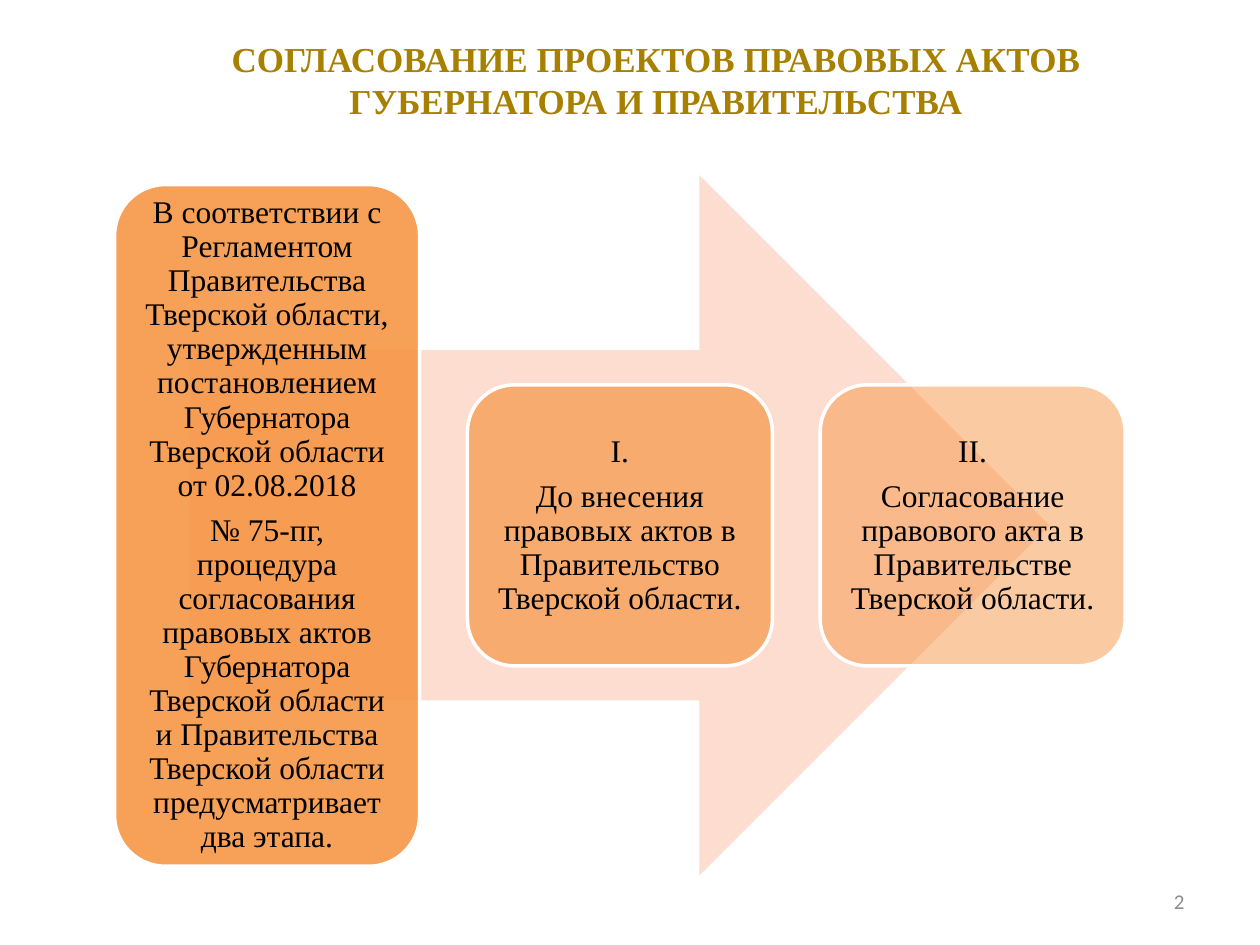
from pptx import Presentation
from pptx.dml.color import RGBColor
from pptx.enum.shapes import MSO_SHAPE as Preset
from pptx.enum.text import MSO_ANCHOR as Anchor, PP_ALIGN as Align
from pptx.oxml.ns import qn
from pptx.util import Inches, Pt
from lxml.etree import SubElement


def color(value):
    return RGBColor.from_string(value)


def write(frame, *texts, size=18, font="Times New Roman", ink="000000", bold=False,
          align=Align.CENTER, spacing=None, after=None, inset=None):
    frame.word_wrap = True
    frame.vertical_anchor = Anchor.MIDDLE
    if inset is not None:
        frame.margin_left = frame.margin_right = Inches(inset)
        frame.margin_top = frame.margin_bottom = Inches(inset)
    for index, text in enumerate(texts):
        para = frame.add_paragraph() if index else frame.paragraphs[0]
        para.alignment = align
        para.line_spacing = spacing
        if after is not None:
            para.space_after = Pt(after)
        span = para.add_run()
        span.text = text
        span.font.size = Pt(size)
        span.font.name = font
        span.font.bold = bold
        span.font.color.rgb = color(ink)


class Slide:
    accent, pale, gold, gray = "F79646", "FCDDCF", "A88000", "8C8C8C"

    def __init__(self, deck):
        self.page = deck.slides.add_slide(deck.slide_layouts[5])

    def title(self, text, *place):
        box = self.page.shapes.title
        box.left, box.top, box.width, box.height = map(Inches, place)
        write(box.text_frame, text, size=20, ink=self.gold, bold=True)

    def number(self, text, *place):
        box = self.page.shapes.add_textbox(*map(Inches, place))
        write(box.text_frame, text, size=12, font="Calibri", ink=self.gray,
              align=Align.RIGHT)

    def shape(self, preset, fill, *place):
        shape = self.page.shapes.add_shape(preset, *map(Inches, place))
        shape.shadow.inherit = False
        shape.fill.solid()
        shape.fill.fore_color.rgb = color(fill)
        shape.line.fill.background()
        return shape

    def arrow(self, *place):
        self.shape(Preset.RIGHT_ARROW, self.pale, *place)

    def card(self, texts, opacity, *place):
        card = self.shape(Preset.ROUNDED_RECTANGLE, self.accent, *place)
        tint = card.fill._xPr.find(qn("a:solidFill"))[0]
        SubElement(tint, qn("a:alpha")).set("val", str(opacity * 1000))
        card.line.color.rgb = color("FFFFFF")
        card.line.width = Pt(2)
        write(card.text_frame, *texts, spacing=0.9, after=6.3, inset=0.07)


deck = Presentation()
deck.slide_width, deck.slide_height = Inches(10), Inches(7.5)

slide = Slide(deck)
slide.title("СОГЛАСОВАНИЕ ПРОЕКТОВ ПРАВОВЫХ АКТОВ ГУБЕРНАТОРА И ПРАВИТЕЛЬСТВА",
            0.91, 0.14, 8.59, 0.98)
slide.number("2", 7.17, 6.95, 2.33, 0.4)
slide.arrow(1.51, 1.39, 6.82, 5.56)

cards = [
    (("В соответствии с Регламентом Правительства Тверской области, утвержденным "
      "постановлением Губернатора Тверской области от 02.08.2018",
      "№ 75-пг, процедура согласования правовых актов Губернатора Тверской области "
      "и Правительства Тверской области предусматривает два этапа."), 90, 5.41),
    (("I.", "До внесения правовых актов в Правительство Тверской области."), 70, 2.23),
    (("II.", "Согласование правового акта в Правительстве Тверской области."), 50, 2.23),
]
left, step, middle, width = 0.91, 2.8, 4.17, 2.42
for index, (texts, opacity, height) in enumerate(cards):
    slide.card(texts, opacity, left + index * step, middle - height / 2, width, height)

deck.save("out.pptx")
